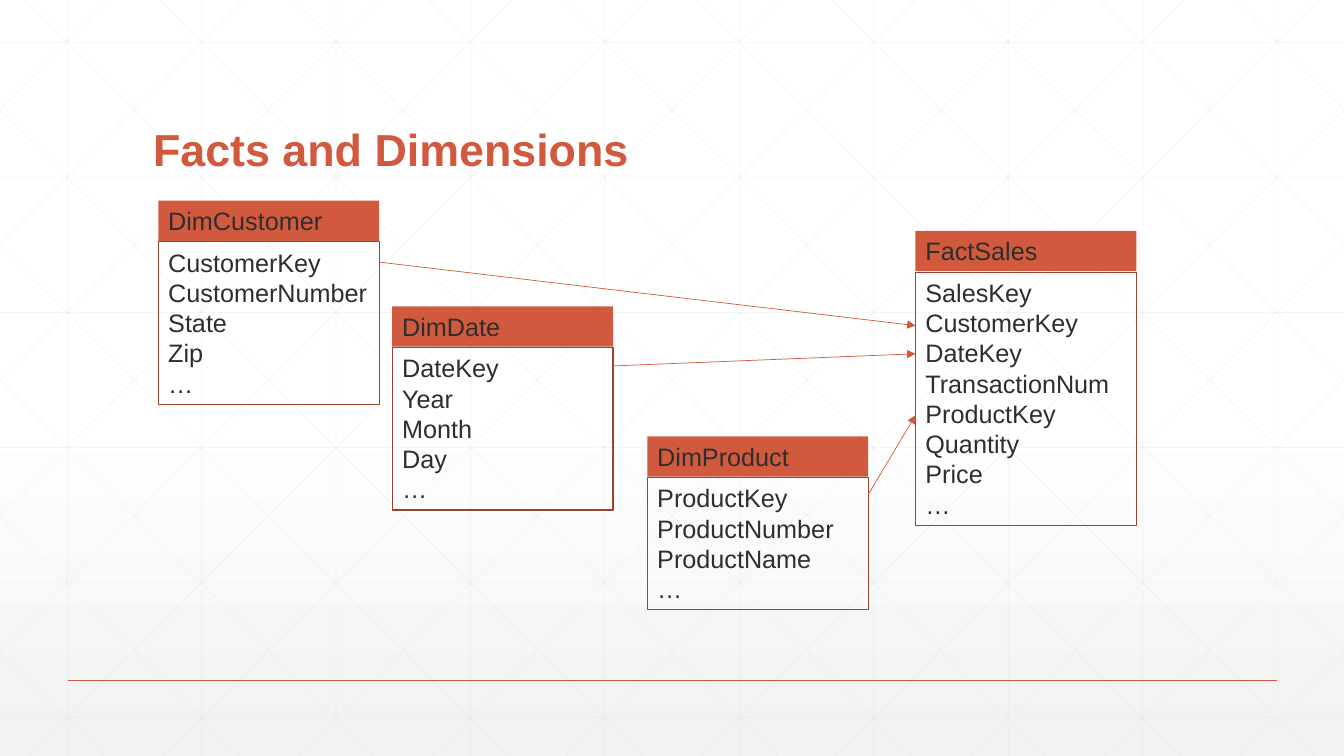
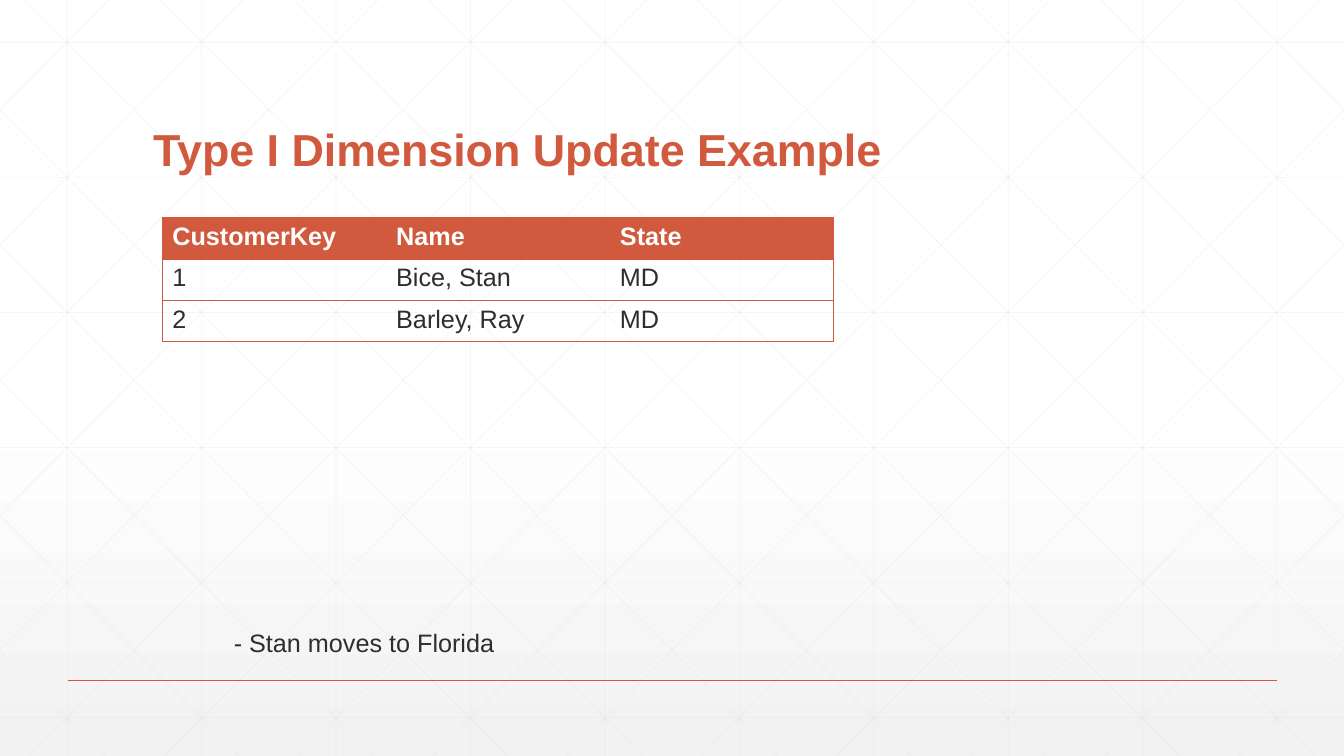
"""Build two slides on dimensional modelling: a star schema and a Type I update."""
import copy

import pptx
import pptx.dml.color
import pptx.enum.shapes
import pptx.enum.text
import pptx.oxml
import pptx.oxml.ns
import pptx.util

Inches = pptx.util.Inches
Pt = pptx.util.Pt
RGBColor = pptx.dml.color.RGBColor
qn = pptx.oxml.ns.qn

ACCENT = RGBColor(0xD1, 0x5A, 0x3E)
BOX_EDGE = RGBColor(0x9B, 0x43, 0x2E)
INK = RGBColor(0x2D, 0x2E, 0x2D)
WHITE = RGBColor(0xFF, 0xFF, 0xFF)
MIST = RGBColor(0xF2, 0xF2, 0xF2)
GRID = RGBColor(0xD9, 0xD9, 0xD9)

FONT = "Arial"
WIDTH, HEIGHT = 13.33, 7.5
CELL = 4 / 3
ROW_STEP = 1.34
LEAN = 0.994
ENTITY_WIDTH = 2.19
HEADER_HEIGHT = 0.4
FIELD_HEIGHT = 0.3
NO_TABLE_STYLE = "{2D5ABB26-0587-4C30-8999-92F81FD0307C}"

ENTITIES = [
    ("DimCustomer", 1.57, 1.99,
     ["CustomerKey", "CustomerNumber", "State", "Zip", "…"]),
    ("DimDate", 3.89, 3.04, ["DateKey", "Year", "Month", "Day", "…"]),
    ("FactSales", 9.08, 2.29,
     ["SalesKey", "CustomerKey", "DateKey", "TransactionNum", "ProductKey",
      "Quantity", "Price", "…"]),
    ("DimProduct", 6.42, 4.33,
     ["ProductKey", "ProductNumber", "ProductName", "…"]),
]
KEY_LINKS = [
    ((3.76, 2.6), (9.08, 3.23)),
    ((6.09, 3.63), (9.08, 3.51)),
    ((8.61, 4.91), (9.08, 4.12)),
]
CUSTOMERS = [
    ["CustomerKey", "Name", "State"],
    ["1", "Bice, Stan", "MD"],
    ["2", "Barley, Ray", "MD"],
]


def make(tag, **attributes):
    """Return a new DrawingML element."""
    element = pptx.oxml.parse_xml(f"<{tag} {pptx.oxml.ns.nsdecls('a')}/>")
    for name, value in attributes.items():
        element.set(name, value)
    return element


def add_line(slide, start, end, color, weight):
    """Draw a straight line without a shadow."""
    ends = [Inches(value) for value in (*start, *end)]
    line = slide.shapes.add_connector(
        pptx.enum.shapes.MSO_CONNECTOR.STRAIGHT, *ends)
    line.line.color.rgb = color
    line.line.width = Pt(weight)
    line.element.spPr.append(make("a:effectLst"))
    return line


def add_grid_line(slide, start, end):
    """Draw one faint line of the backdrop."""
    line = add_line(slide, start, end, GRID, 0.5)
    tint = line.element.spPr.find(".//" + qn("a:srgbClr"))
    tint.append(make("a:alpha", val="25000"))


def add_diagonals(slide, offset):
    """Draw a diagonal and its mirror, clipped to the slide."""
    top_x = max(offset, 0)
    top_y = (top_x - offset) / LEAN
    low_x = min(offset + HEIGHT * LEAN, WIDTH)
    low_y = (low_x - offset) / LEAN
    add_grid_line(slide, (top_x, top_y), (low_x, low_y))
    add_grid_line(slide, (WIDTH - top_x, top_y), (WIDTH - low_x, low_y))


def paint_background(master):
    """Give the master its white to grey gradient."""
    fill = master.background.fill
    fill.gradient()
    fill.gradient_angle = 270
    stops = master.element.find(".//" + qn("a:gsLst"))
    stops.append(copy.deepcopy(stops[-1]))
    colors = ((0, WHITE), (0.53, WHITE), (1, MIST))
    for stop, (position, color) in zip(fill.gradient_stops, colors):
        stop.position = position
        stop.color.rgb = color


def decorate_master(master, slide):
    """Draw the shared backdrop on a slide and move it to the master."""
    paint_background(master)
    for column in range(10):
        x = CELL * (column + 0.5)
        add_grid_line(slide, (x, 0), (x, HEIGHT))
    for row in range(6):
        y = 0.42 + ROW_STEP * row
        add_grid_line(slide, (0, y), (WIDTH, y))
    for step in range(-5, 10):
        add_diagonals(slide, 0.25 + CELL * step)
    add_line(slide, (0.67, 6.75), (12.67, 6.75), ACCENT, 1)
    for number, line in enumerate(list(slide.shapes), start=100):
        line.element.nvCxnSpPr.cNvPr.id = number
        master.shapes.element.append(line.element)


def write(frame, lines, color=INK, size=18, bold=False):
    """Write each line as a left-aligned paragraph."""
    frame.word_wrap = True
    for index, text in enumerate(lines):
        paragraph = frame.add_paragraph() if index else frame.paragraphs[0]
        paragraph.alignment = pptx.enum.text.PP_ALIGN.LEFT
        run = paragraph.add_run()
        run.text = text
        run.font.name = FONT
        run.font.size = Pt(size)
        run.font.bold = bold
        run.font.color.rgb = color


def add_text(slide, text, left, top, width, height, **style):
    """Add a text box with one line and return its frame."""
    frame = slide.shapes.add_textbox(
        Inches(left), Inches(top), Inches(width), Inches(height)).text_frame
    write(frame, [text], **style)
    return frame


def add_title(slide, text):
    """Add the slide title."""
    frame = add_text(slide, text, 1.42, 0.55, 10.5, 1.25,
                     color=ACCENT, size=32, bold=True)
    frame.vertical_anchor = pptx.enum.text.MSO_ANCHOR.BOTTOM
    frame.paragraphs[0].line_spacing = 0.9


def add_panel(slide, lines, left, top, height):
    """Add a plain rectangle that lists lines of text."""
    panel = slide.shapes.add_shape(
        pptx.enum.shapes.MSO_SHAPE.RECTANGLE, Inches(left), Inches(top),
        Inches(ENTITY_WIDTH), Inches(height))
    panel.shadow.inherit = False
    panel.text_frame.vertical_anchor = pptx.enum.text.MSO_ANCHOR.TOP
    write(panel.text_frame, lines)
    return panel


def add_entity(slide, name, left, top, fields):
    """Add a schema table: a filled header over its list of fields."""
    height = FIELD_HEIGHT * len(fields) + 0.11
    body = add_panel(slide, fields, left, top + HEADER_HEIGHT + 0.01, height)
    body.fill.background()
    body.line.color.rgb = BOX_EDGE
    body.line.width = Pt(0.75)
    header = add_panel(slide, [name], left, top, HEADER_HEIGHT)
    header.fill.solid()
    header.fill.fore_color.rgb = ACCENT
    header.line.fill.background()


def add_key_link(slide, start, end):
    """Draw an arrow from a dimension key to the fact table."""
    arrow = add_line(slide, start, end, ACCENT, 0.5)
    arrow.line.fill
    arrow.element.spPr.find(qn("a:ln")).append(
        make("a:tailEnd", type="triangle"))


def add_borders(cell, sides):
    """Draw accent borders on the given sides of a cell."""
    properties = cell._tc.get_or_add_tcPr()
    for position, side in enumerate(sides):
        border = make(f"a:ln{side}", w=str(Pt(0.5)))
        fill = make("a:solidFill")
        fill.append(make("a:srgbClr", val=str(ACCENT)))
        border.append(fill)
        properties.insert(position, border)


def add_records(slide, records, left, top, column_width, row_height):
    """Add a table with a filled header row and ruled records."""
    columns = len(records[0])
    frame = slide.shapes.add_table(
        len(records), columns, Inches(left), Inches(top),
        Inches(column_width * columns), Inches(row_height * len(records)))
    frame.element.find(".//" + qn("a:tableStyleId")).text = NO_TABLE_STYLE
    table = frame.table
    table.horz_banding = False
    for row, record in enumerate(records):
        table.rows[row].height = Inches(row_height)
        for column, value in enumerate(record):
            cell = table.cell(row, column)
            heading = row == 0
            write(cell.text_frame, [value], WHITE if heading else INK,
                  bold=heading)
            if heading:
                cell.fill.solid()
                cell.fill.fore_color.rgb = ACCENT
            else:
                cell.fill.background()
            outer = {0: "L", columns - 1: "R"}.get(column, "")
            add_borders(cell, outer + "TB")


def build_schema(slide):
    """Fill the slide on facts and dimensions."""
    add_title(slide, "Facts and Dimensions")
    for entity in ENTITIES:
        add_entity(slide, *entity)
    for start, end in KEY_LINKS:
        add_key_link(slide, start, end)


def build_update(slide):
    """Fill the slide on the Type I update."""
    add_title(slide, "Type I Dimension Update Example")
    add_records(slide, CUSTOMERS, 1.61, 2.16, 2.22, 0.41)
    add_text(slide, "- Stan moves to Florida", 2.22, 6.17, 2.81, 0.4)


def main():
    """Build and save the presentation."""
    deck = pptx.Presentation()
    deck.slide_width = Inches(WIDTH)
    deck.slide_height = Inches(HEIGHT)
    blank = deck.slide_layouts[6]
    schema = deck.slides.add_slide(blank)
    decorate_master(deck.slide_master, schema)
    build_schema(schema)
    build_update(deck.slides.add_slide(blank))
    deck.save("out.pptx")


if __name__ == "__main__":
    main()
